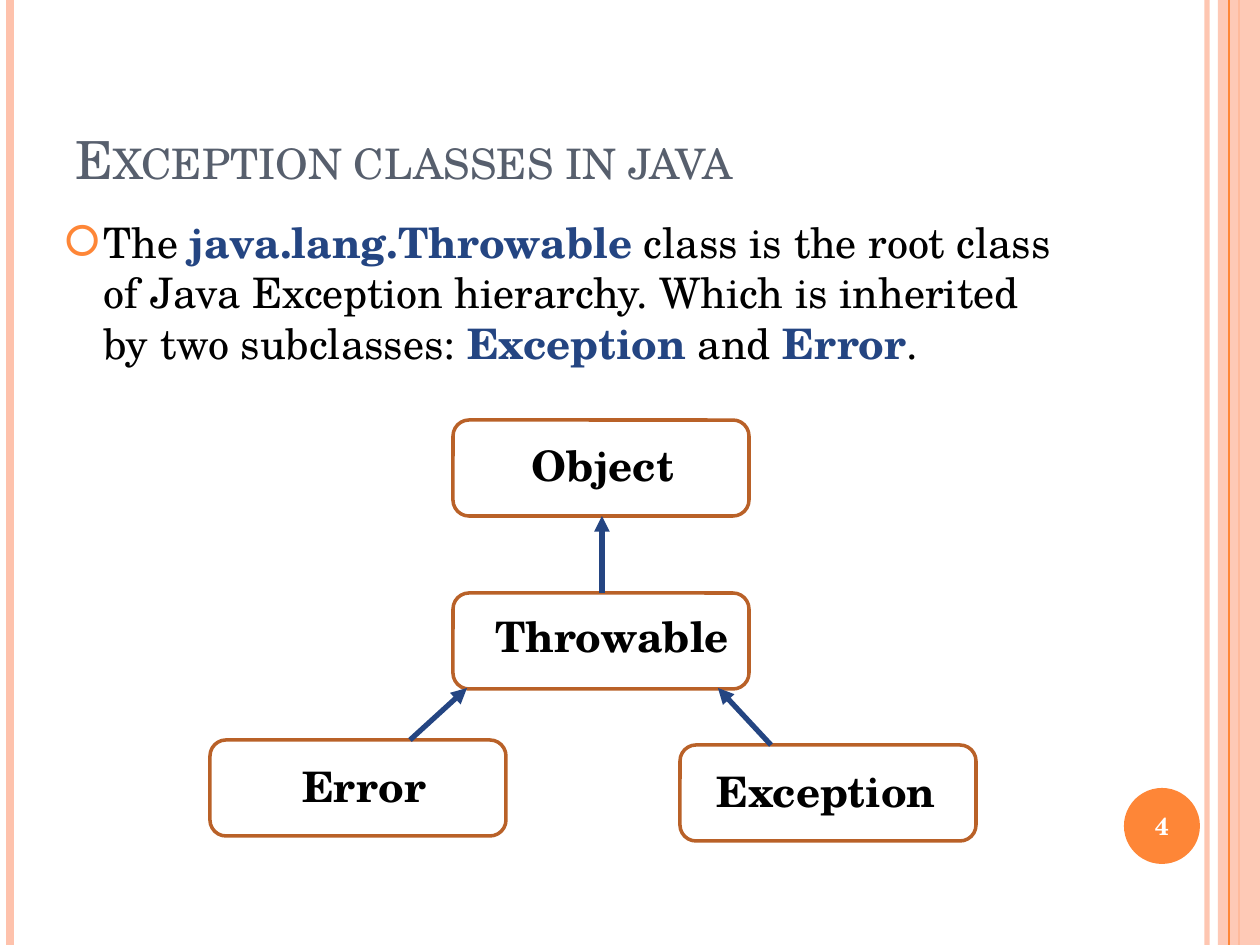
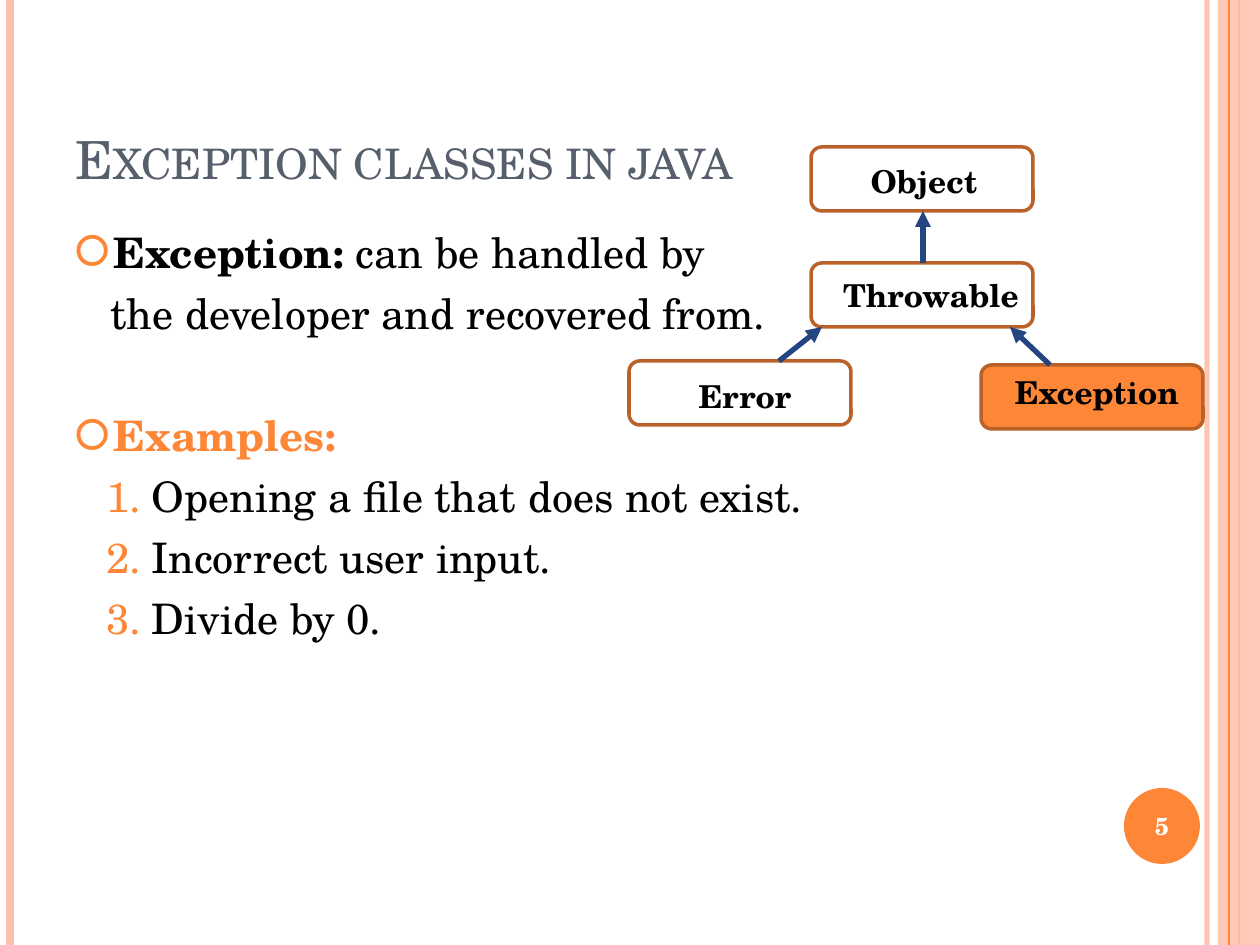
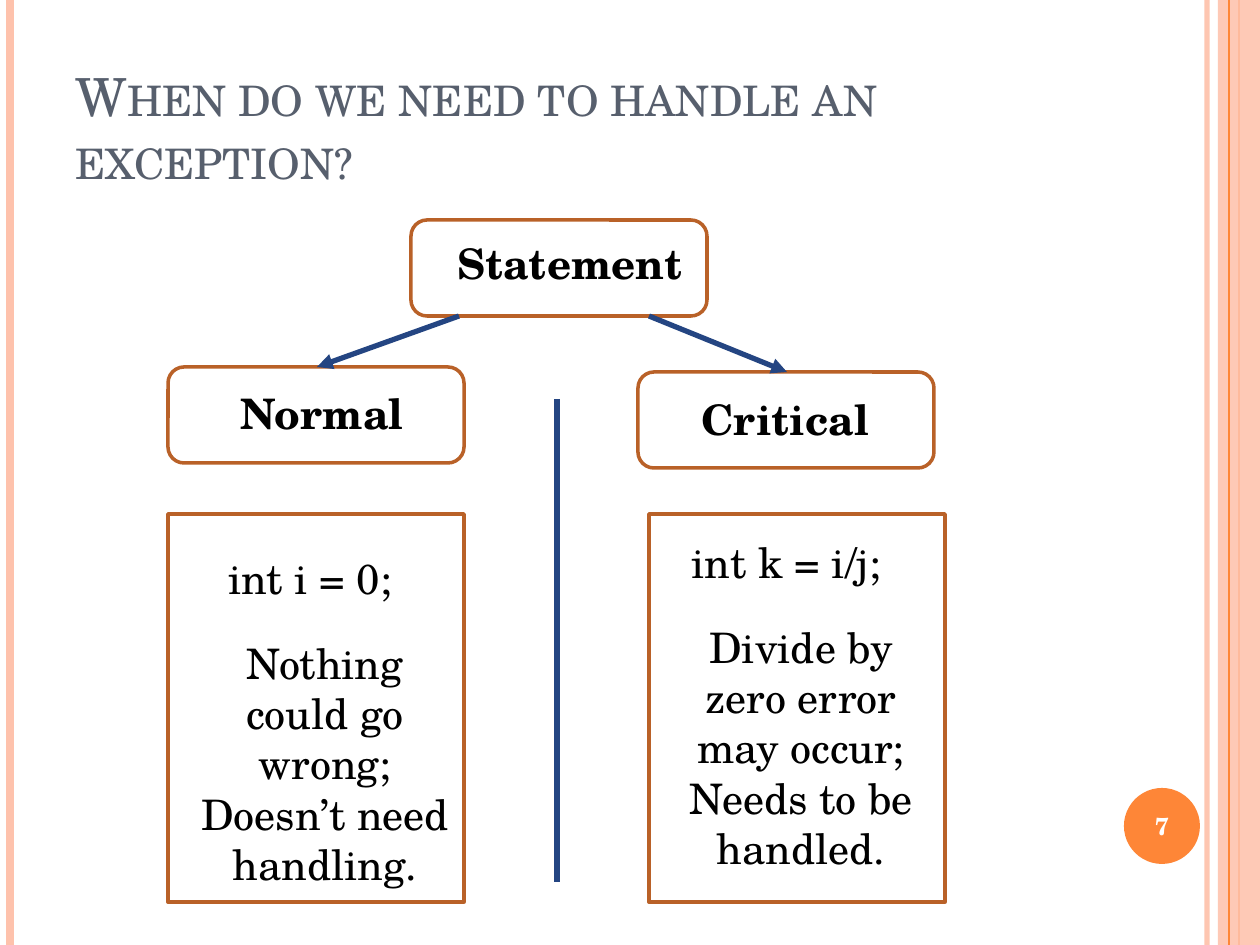
from lxml.etree import SubElement
from pptx import Presentation
from pptx.dml.color import RGBColor
from pptx.enum.shapes import MSO_CONNECTOR, MSO_SHAPE
from pptx.enum.text import MSO_ANCHOR, MSO_AUTO_SIZE, PP_ALIGN
from pptx.oxml.ns import qn
from pptx.util import Emu, Pt

FONT = "TeX Gyre Schola"
BLACK, WHITE = "000000", "FFFFFF"
ORANGE, PEACH, BROWN = "FE8637", "FEC2AC", "B96128"
NAVY, SLATE = "244582", "575F6D"

PAGE_WIDTH, PAGE_HEIGHT = 1260, 945
TITLE_AREA = (63, 38, 1029, 158)
BADGE = (1124, 788, 76, 76)
NUMBER_AREA = (1120, 790, 84, 72)
SIDE_BAND = (1218, 0, 42, PAGE_HEIGHT)
# x, colour, points, opacity in percent
LEFT_RULES = [(1207, PEACH, 3, 93), (10, PEACH, 4.5, 100), (1239, ORANGE, 1.5, 100)]
BAND_RULE = (1229, ORANGE, 0.75, 100)

# left margin, first-line indent, bullet tag, bullet attributes
LIST_STYLES = {
    "ring": (38, -38, "a:buChar", {"char": "🞆"}),
    "plain": (35, 0, "a:buNone", {}),
    "number": (76, -45, "a:buAutoNum", {"type": "arabicPeriod"}),
}

# Trees are laid out from their own corner, at full scale
NODE_WIDTH, NODE_HEIGHT = 296, 96
LABEL_WIDTH, LABEL_HEIGHT = 272, 63
# name, node x, node y, label offset x, label offset y
CLASS_NODES = [
    ("Throwable", 243, 173, 23, 11),
    ("Error", 0, 320, 18, 14),
    ("Exception", 470, 325, 10, 14),
    ("Object", 243, 0, 14, 13),
]
CLASS_ARROWS = [(392, 173, 392, 96), (200, 320, 257, 268), (561, 325, 508, 268)]
STATEMENT_NODES = [
    ("Statement", 243, 0, 23, 11),
    ("Normal", 0, 147, 18, 14),
    ("Critical", 470, 152, 11, 15),
]
STATEMENT_ARROWS = [(291, 96, 149, 147), (481, 96, 619, 152)]

SLIDES = [
    {
        "number": 4,
        "title": "Exception classes in java",
        "body_area": (53, 210, 1029, 672),
        # list style, space before in points, spans of (text, colour, bold)
        "body": [
            ("ring", 0, [
                ("The ", BLACK, False),
                ("java.lang.Throwable", NAVY, True),
                (" class is the root class of Java Exception hierarchy. "
                 "Which is inherited by two subclasses: ", BLACK, False),
                ("Exception", NAVY, True),
                (" and ", BLACK, False),
                ("Error", NAVY, True),
                (".", BLACK, False),
            ]),
        ],
        "tree": {"nodes": CLASS_NODES, "arrows": CLASS_ARROWS, "corner": (210, 420)},
    },
    {
        "number": 5,
        "title": "Exception classes in java",
        "body_area": (63, 220, 1029, 672),
        "body": [
            ("ring", 0, [("Exception:", BLACK, True), (" can be handled by", BLACK, False)]),
            ("plain", 6, [("the developer and recovered from.", BLACK, False)]),
            ("ring", 41, [("Examples:", ORANGE, True)]),
            ("number", 6, [("Opening a file that does not exist.", BLACK, False)]),
            ("number", 6, [("Incorrect user input.", BLACK, False)]),
            ("number", 6, [("Divide by 0.", BLACK, False)]),
        ],
        "tree": {
            "nodes": CLASS_NODES, "arrows": CLASS_ARROWS, "corner": (629, 147),
            "scale": (0.75, 0.67), "size": 18,
            "fills": {"Error": None, "Exception": ORANGE},
            "nudges": {"Exception": (6, -7)},
        },
    },
    {
        "number": 7,
        "title": "When do we need to handle an exception?",
        "tree": {"nodes": STATEMENT_NODES, "arrows": STATEMENT_ARROWS, "corner": (168, 220)},
        "divider": (557, 399, 557, 882),
        # panel x, text x, code y, code, remarks
        "panels": [
            (168, 186, 546, "int i = 0;",
             ["Nothing could go wrong; Doesn’t need handling."]),
            (649, 662, 530, "int k = i/j;",
             ["Divide by zero error may occur;", "Needs to be handled."]),
        ],
    },
]
PANEL_TOP, PANEL_HEIGHT = 514, 388
CODE_SIZE, REMARK_SIZE, REMARK_DROP = (248, 63), (278, 267), 85


def px(length):
    return Emu(round(length * 914400 / 126))


def color(code):
    return RGBColor.from_string(code)


def place(shape, area):
    shape.left, shape.top, shape.width, shape.height = map(px, area)


def fade(shape, percent):
    """Make the shape's own colour partly transparent."""
    if percent < 100:
        for tone in shape.element.iter(qn("a:srgbClr")):
            SubElement(tone, qn("a:alpha"), val=str(percent * 1000))


def add_box(shapes, kind, area, fill=None, line=None):
    box = shapes.add_shape(kind, *map(px, area))
    box.shadow.inherit = False
    if fill:
        box.fill.solid()
        box.fill.fore_color.rgb = color(fill)
    else:
        box.fill.background()
    if line:
        box.line.color.rgb = color(line)
        box.line.width = Pt(2)
    else:
        box.line.fill.background()
    return box


def add_rule(shapes, ends, tone=NAVY, width=3, arrow=False):
    rule = shapes.add_connector(MSO_CONNECTOR.STRAIGHT, *map(px, ends))
    rule.line.color.rgb = color(tone)
    rule.line.width = Pt(width)
    if arrow:
        SubElement(rule.line.fill._xPr, qn("a:tailEnd"), type="triangle")
    SubElement(rule.element.spPr, qn("a:effectLst"))
    return rule


def add_span(para, text, size=24, tone=BLACK, bold=False):
    span = para.add_run()
    span.text = text
    span.font.name = FONT
    span.font.size = Pt(size)
    span.font.bold = bold
    span.font.color.rgb = color(tone)
    return span


def add_paragraphs(frame, count):
    while len(frame.paragraphs) < count:
        frame.add_paragraph()
    return frame.paragraphs


def add_label(shapes, area, texts, grow=True, **style):
    frame = shapes.add_textbox(*map(px, area)).text_frame
    frame.word_wrap = True
    if grow:
        frame.auto_size = MSO_AUTO_SIZE.SHAPE_TO_FIT_TEXT
    for para, text in zip(add_paragraphs(frame, len(texts)), texts):
        para.alignment = PP_ALIGN.CENTER
        add_span(para, text, **style)
    return frame


def add_vertical(shapes, x, tone, width, opacity):
    rule = add_rule(shapes, (x, 0, x, PAGE_HEIGHT), tone, width)
    fade(rule, opacity)
    return rule


def dress_master(master, slide):
    """Draw the bands through a slide, then move them behind the master's text."""
    shapes = slide.shapes
    bands = [add_vertical(shapes, *rule) for rule in LEFT_RULES]
    side = add_box(shapes, MSO_SHAPE.RECTANGLE, SIDE_BAND, PEACH)
    fade(side, 87)
    bands += [side, add_vertical(shapes, *BAND_RULE),
              add_box(shapes, MSO_SHAPE.OVAL, BADGE, ORANGE)]
    for index, band in enumerate(bands):
        band.element.xpath(".//p:cNvPr")[0].set("id", str(100 + index))
        master.shapes.element.insert(2 + index, band.element)
    place(master.placeholders[0], TITLE_AREA)


def write_title(slide, text):
    title = slide.shapes.title
    place(title, TITLE_AREA)
    frame = title.text_frame
    frame.vertical_anchor = MSO_ANCHOR.BOTTOM
    frame.auto_size = MSO_AUTO_SIZE.NONE
    para = frame.paragraphs[0]
    para.alignment = PP_ALIGN.LEFT
    span = add_span(para, text, 30, SLATE)
    span.font._element.set("cap", "small")


def write_body(slide, area, items):
    body = slide.placeholders[1]
    place(body, area)
    frame = body.text_frame
    frame.auto_size = MSO_AUTO_SIZE.NONE
    for para, (style, space, spans) in zip(add_paragraphs(frame, len(items)), items):
        margin, indent, bullet, attributes = LIST_STYLES[style]
        para.space_before = Pt(space)
        properties = para._p.get_or_add_pPr()
        properties.set("marL", str(px(margin)))
        properties.set("indent", str(px(indent)))
        SubElement(SubElement(properties, qn("a:buClr")), qn("a:srgbClr"), val=ORANGE)
        SubElement(properties, qn(bullet), attributes)
        for text, tone, bold in spans:
            add_span(para, text, tone=tone, bold=bold)


def draw_tree(slide, nodes, arrows, corner, scale=(1, 1), size=24, fills={}, nudges={}):
    shapes = slide.shapes.add_group_shape().shapes

    def scaled(x, y):
        return round(x * scale[0]), round(y * scale[1])

    def moved(x, y):
        return tuple(start + step for start, step in zip(corner, scaled(x, y)))

    for name, x, y, *_ in nodes:
        area = moved(x, y) + scaled(NODE_WIDTH, NODE_HEIGHT)
        add_box(shapes, MSO_SHAPE.ROUNDED_RECTANGLE, area, fills.get(name, WHITE), BROWN)
    for name, x, y, offset_x, offset_y in nodes:
        left, top = moved(x + offset_x, y + offset_y)
        shift_x, shift_y = nudges.get(name, (0, 0))
        area = (left + shift_x, top + shift_y) + scaled(LABEL_WIDTH, LABEL_HEIGHT)
        add_label(shapes, area, [name], size=size, bold=True)
    for x1, y1, x2, y2 in arrows:
        add_rule(shapes, moved(x1, y1) + moved(x2, y2), arrow=True)


def draw_panel(slide, panel_x, text_x, code_y, code, remarks):
    area = (panel_x, PANEL_TOP, NODE_WIDTH, PANEL_HEIGHT)
    add_box(slide.shapes, MSO_SHAPE.RECTANGLE, area, line=BROWN)
    add_label(slide.shapes, (text_x, code_y) + CODE_SIZE, [code])
    add_label(slide.shapes, (text_x, code_y + REMARK_DROP) + REMARK_SIZE, remarks)


def main():
    deck = Presentation()
    deck.slide_width, deck.slide_height = px(PAGE_WIDTH), px(PAGE_HEIGHT)
    list_layout, title_layout = deck.slide_layouts[1], deck.slide_layouts[5]
    for index, content in enumerate(SLIDES):
        slide = deck.slides.add_slide(list_layout if "body" in content else title_layout)
        if index == 0:
            dress_master(deck.slide_master, slide)
        write_title(slide, content["title"])
        if "body" in content:
            write_body(slide, content["body_area"], content["body"])
        number = add_label(slide.shapes, NUMBER_AREA, [str(content["number"])],
                           grow=False, size=14, tone=WHITE, bold=True)
        number.vertical_anchor = MSO_ANCHOR.MIDDLE
        draw_tree(slide, **content["tree"])
        if "divider" in content:
            add_rule(slide.shapes, content["divider"])
        for panel in content.get("panels", []):
            draw_panel(slide, *panel)
    deck.save("out.pptx")


if __name__ == "__main__":
    main()
